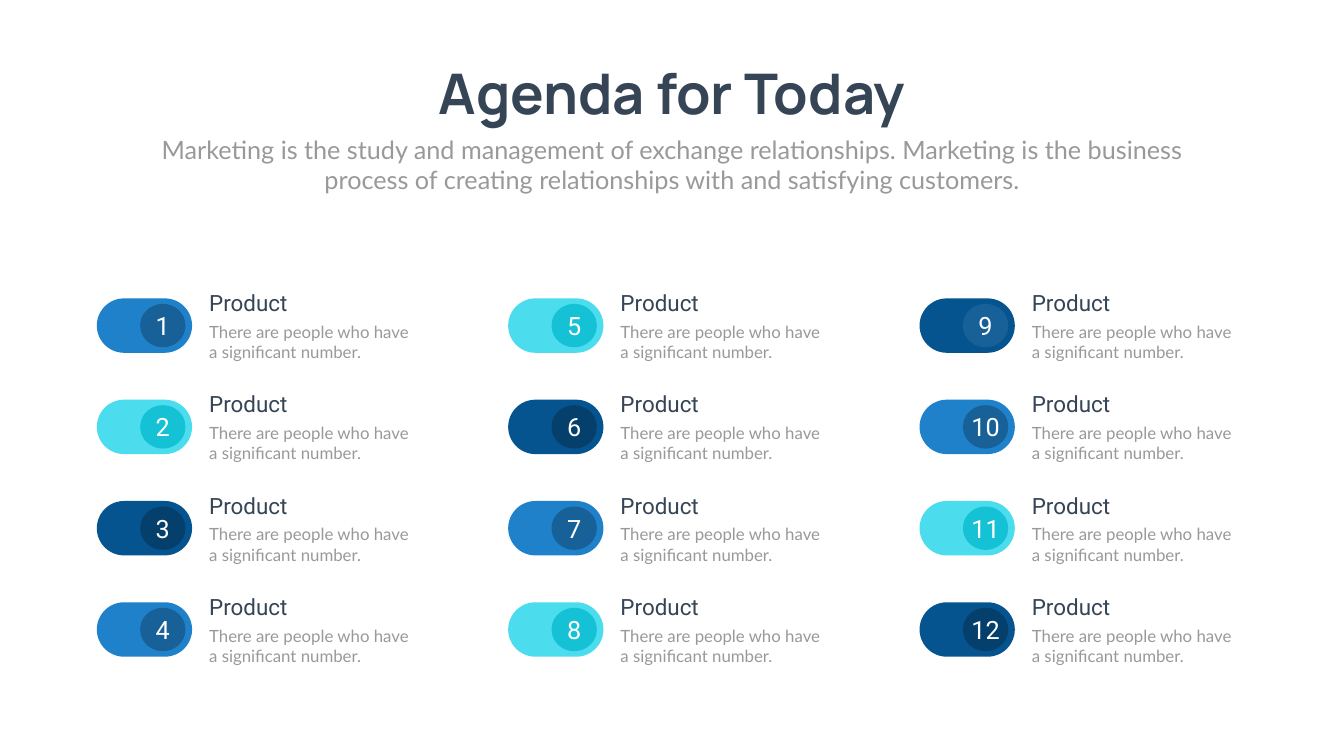
from pptx import Presentation
from pptx.dml.color import RGBColor
from pptx.enum.shapes import MSO_SHAPE
from pptx.enum.text import MSO_ANCHOR, MSO_AUTO_SIZE, PP_ALIGN
from pptx.util import Inches, Pt

PILL = MSO_SHAPE.ROUNDED_RECTANGLE
OVAL = MSO_SHAPE.OVAL
TOP, MIDDLE = MSO_ANCHOR.TOP, MSO_ANCHOR.MIDDLE
GROW = MSO_AUTO_SIZE.SHAPE_TO_FIT_TEXT
LEFT, CENTER = PP_ALIGN.LEFT, PP_ALIGN.CENTER

SLATE = RGBColor(0x36, 0x45, 0x56)
GRAY = RGBColor(0x99, 0x99, 0x99)
WHITE = RGBColor(0xFF, 0xFF, 0xFF)
BLUE = RGBColor(0x1E, 0x81, 0xCA)
BLUE_DARK = RGBColor(0x17, 0x61, 0x98)
CYAN = RGBColor(0x4B, 0xDC, 0xED)
CYAN_DARK = RGBColor(0x15, 0xC1, 0xD5)
NAVY = RGBColor(0x06, 0x54, 0x8F)
NAVY_DARK = RGBColor(0x05, 0x3F, 0x6B)

TOGGLE_COLORS = [(BLUE, BLUE_DARK), (CYAN, CYAN_DARK), (NAVY, NAVY_DARK)]
KNOB_EXCEPTIONS = {9: BLUE_DARK}
COLUMNS, ROWS = 3, 4
COLUMN_LEFT, COLUMN_PITCH = 1.92, 8.16
ROW_TOP, ROW_PITCH = 5.92, 2.01

TITLE = "Agenda for Today"
INTRO = (
    "Marketing is the study and management of exchange relationships. "
    "Marketing is the business process of creating relationships with "
    "and satisfying customers."
)
ITEM_NAME = "Product"
ITEM_DETAIL = "There are people who have a significant number."


def write(frame, text, font, size, color, align=LEFT, bold=False, wrap=True):
    """Write one formatted run into a text frame."""
    frame.word_wrap = wrap
    paragraph = frame.paragraphs[0]
    paragraph.alignment = align
    paragraph.space_before = Pt(0)
    run = paragraph.add_run()
    run.text = text
    run.font.name = font
    run.font.size = Pt(size)
    run.font.bold = bold
    run.font.color.rgb = color


def place_heading(placeholder, box, text, font, size, color, **style):
    """Move a placeholder and fill it with centred text."""
    placeholder.left, placeholder.top, placeholder.width, placeholder.height = map(Inches, box)
    frame = placeholder.text_frame
    frame.vertical_anchor = TOP
    frame.auto_size = GROW
    write(frame, text, font, size, color, CENTER, **style)


def add_filled(shapes, preset, box, color):
    """Add a borderless filled shape."""
    shape = shapes.add_shape(preset, *map(Inches, box))
    shape.shadow.inherit = False
    shape.fill.solid()
    shape.fill.fore_color.rgb = color
    shape.line.fill.background()
    return shape


def add_label(shapes, box, text, font, size, color):
    """Add a left-aligned text box."""
    frame = shapes.add_textbox(*map(Inches, box)).text_frame
    frame.auto_size = GROW
    write(frame, text, font, size, color)


def add_agenda_item(shapes, left, top, number):
    """Add a numbered toggle with its name and detail."""
    track_color, knob_color = TOGGLE_COLORS[(number - 1) % len(TOGGLE_COLORS)]
    knob_color = KNOB_EXCEPTIONS.get(number, knob_color)
    track = add_filled(shapes, PILL, (left, top, 1.89, 1.08), track_color)
    track.adjustments[0] = 0.5
    knob = add_filled(shapes, OVAL, (left + 0.86, top + 0.11, 0.9, 0.86), knob_color)
    knob.text_frame.vertical_anchor = MIDDLE
    write(knob.text_frame, str(number), "Roboto", 36, WHITE, CENTER, wrap=False)
    text_left = left + 2.13
    add_label(shapes, (text_left, top - 0.23, 3.93, 0.64), ITEM_NAME, "Roboto", 32, SLATE)
    add_label(shapes, (text_left, top + 0.41, 4.37, 0.91), ITEM_DETAIL, "Lato", 24, GRAY)


def main():
    """Build the agenda slide."""
    deck = Presentation()
    deck.slide_width, deck.slide_height = Inches(26.66), Inches(15)
    slide = deck.slides.add_slide(deck.slide_layouts[0])
    title, intro = slide.placeholders
    place_heading(title, (8.12, 1.12, 10.42, 1.45), TITLE, "Manrope", 80, SLATE,
                  bold=True, wrap=False)
    place_heading(intro, (2.92, 2.61, 20.82, 1.31), INTRO, "Lato", 36, GRAY)
    for column in range(COLUMNS):
        group = slide.shapes.add_group_shape()
        for row in range(ROWS):
            add_agenda_item(
                group.shapes,
                COLUMN_LEFT + column * COLUMN_PITCH,
                ROW_TOP + row * ROW_PITCH,
                column * ROWS + row + 1,
            )
    deck.save("out.pptx")


if __name__ == "__main__":
    main()
